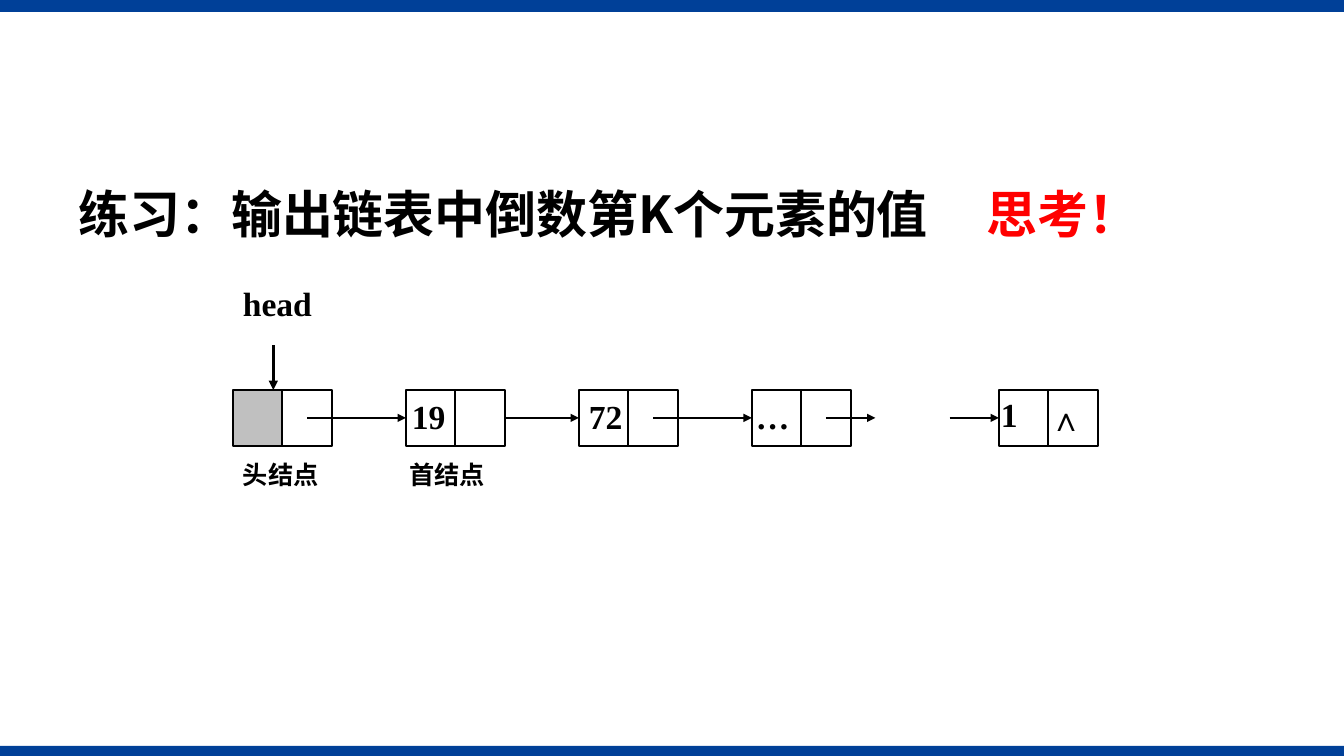
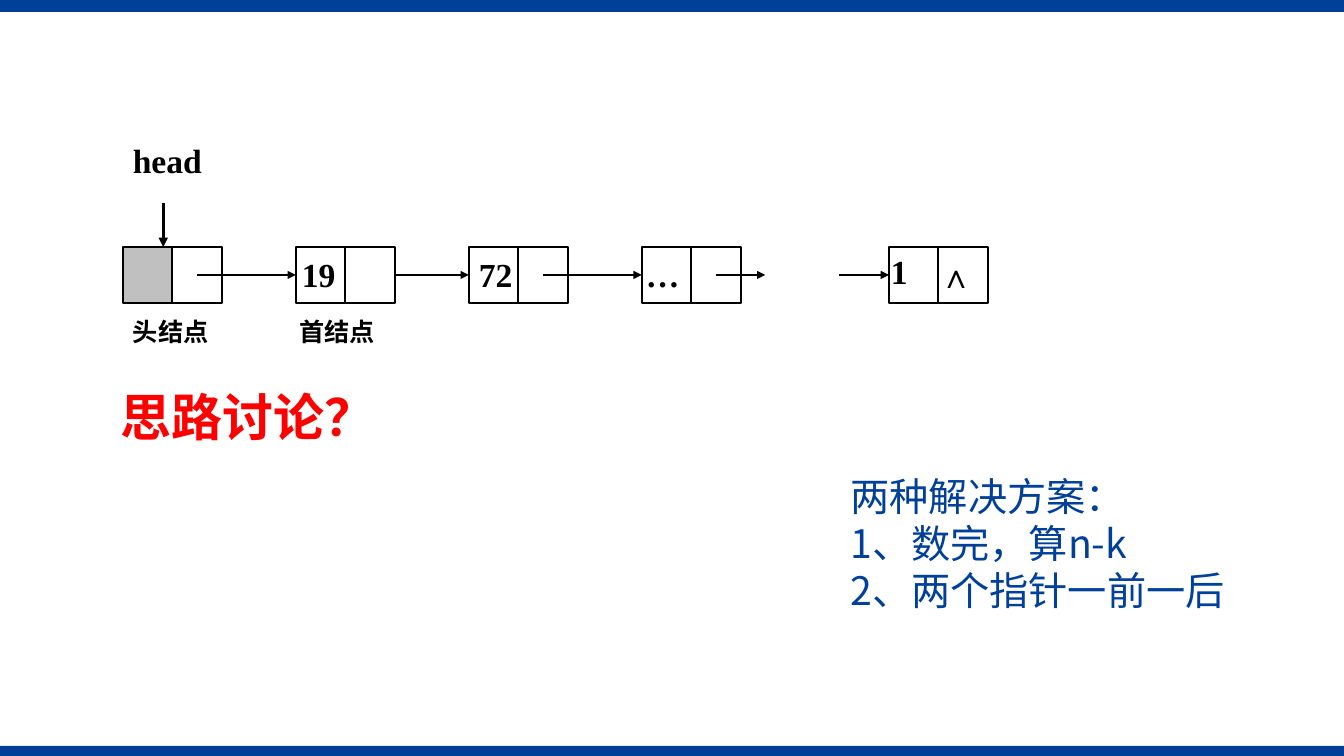
from lxml import etree
from pptx import Presentation
from pptx.dml.color import RGBColor
from pptx.enum import shapes, text
from pptx.oxml.ns import qn
from pptx.util import Pt

BLUE, RED, BLACK, GRAY = "004098", "FF0000", "000000", "C0C0C0"
SANS, SERIF = "Noto Sans CJK SC", "Times New Roman"
WIDTH, HEIGHT = 960, 540
CELL_W, CELL_H = 35.3, 39.8
VALUE_SIZE = 24


def add_text(slide, box, paragraphs, size, face=SERIF, bold=True,
             inset=(7.2, 3.6), spacing=None):
    """Add a text box; each paragraph is a list of (wording, colour) runs."""
    frame = slide.shapes.add_textbox(*map(Pt, box)).text_frame
    frame.word_wrap = True
    frame.vertical_anchor = text.MSO_ANCHOR.TOP
    frame.margin_left = frame.margin_right = Pt(inset[0])
    frame.margin_top = frame.margin_bottom = Pt(inset[1])
    for index, runs in enumerate(paragraphs):
        paragraph = frame.add_paragraph() if index else frame.paragraphs[0]
        if spacing:
            paragraph.line_spacing = spacing
        for wording, colour in runs:
            run = paragraph.add_run()
            run.text = wording
            run.font.size = Pt(size)
            run.font.bold = bold
            run.font.name = face
            run.font.color.rgb = RGBColor.from_string(colour)
            if face == SANS:
                etree.SubElement(run.font._element, qn("a:ea"), typeface=face)
    return frame


def add_arrow(slide, start, end, weight):
    arrow = slide.shapes.add_connector(
        shapes.MSO_CONNECTOR.STRAIGHT, *map(Pt, start + end))
    arrow.line.color.rgb = RGBColor.from_string(BLACK)
    arrow.line.width = Pt(weight)
    etree.SubElement(arrow.line._get_or_add_ln(), qn("a:tailEnd"), type="triangle")
    etree.SubElement(arrow._element.spPr, qn("a:effectLst"))
    return arrow


# Horizontal places in the list are counted in cell widths.
NODES = [0, 3.5, 7, 10.5, 15.5]
# start, end, index of the cell left, index of the cell reached
LINKS = [(1.5, 3.5, None, 2), (5.5, 7, 3, 4), (8.5, 10.5, None, 6),
         (12, 13, None, None), (14.5, 15.5, None, 8)]
# wording, cell place, shift right, shift down
VALUES = [("19", 3.5, 4.3, 4.5), ("72", 7, 7.2, 4.5), ("1", 15.5, 1.4, 3),
          ("…", 10.5, 2.9, 4.5), ("∧", 16.5, 0.7, 5.6)]
CAPTIONS = [("头结点", 0), ("首结点", 119)]

presentation = Presentation()
presentation.slide_width, presentation.slide_height = Pt(WIDTH), Pt(HEIGHT)

slides = []
for left, top in [(166.4, 278.6), (87.8, 176.5)]:
    slide = presentation.slides.add_slide(presentation.slide_layouts[6])
    slides.append(slide)

    for band_top, band_height in [(532.8, 7.2), (0, 8.6)]:
        band = slide.shapes.add_shape(shapes.MSO_SHAPE.RECTANGLE, 0, Pt(band_top),
                                      Pt(WIDTH), Pt(band_height))
        band.shadow.inherit = False
        band.fill.solid()
        band.fill.fore_color.rgb = RGBColor.from_string(BLUE)
        band.line.fill.background()

    cells = []
    for place in [node + part for node in NODES for part in (0, 1)]:
        cell = slide.shapes.add_shape(
            shapes.MSO_SHAPE.RECTANGLE, Pt(left + place * CELL_W), Pt(top),
            Pt(CELL_W), Pt(CELL_H))
        cell.shadow.inherit = False
        cell.line.color.rgb = RGBColor.from_string(BLACK)
        cell.line.width = Pt(1.5)
        if place == 0:
            cell.fill.solid()
            cell.fill.fore_color.rgb = RGBColor.from_string(GRAY)
        else:
            cell.fill.background()
        cells.append(cell)

    middle = top + CELL_H / 2
    for start, end, source, target in LINKS:
        link = add_arrow(slide, (left + start * CELL_W, middle),
                         (left + end * CELL_W, middle), 1.5)
        if source is not None:
            link.begin_connect(cells[source], 3)
        if target is not None:
            link.end_connect(cells[target], 1)

    for value, place, right, down in VALUES:
        add_text(slide, (left + place * CELL_W + right, top + down, 30, 34),
                 [[(value, BLACK)]], VALUE_SIZE, inset=(0, 0))

    add_text(slide, (left, top - 79.8, 70.6, 47.5), [[("head", BLACK)]], VALUE_SIZE)
    add_arrow(slide, (left + 28.8, top - 31.8), (left + 28.8, top), 2.25)

    for caption, right in CAPTIONS:
        add_text(slide, (left + right, top + 45.3, 73.5, 28.8),
                 [[(caption, BLACK)]], 18, SANS, spacing=Pt(22))

exercise, discussion = slides

question = add_text(
    exercise, (49, 131.8, 830, 59),
    [[("练习：输出链表中倒数第K个元素的值\t", BLACK), ("思考！", RED)]],
    36.4, SANS, spacing=0.9)
tabs = etree.SubElement(question.paragraphs[0]._p.get_or_add_pPr(), qn("a:tabLst"))
etree.SubElement(tabs, qn("a:tab"), pos=str(Pt(648.5)), algn="l")

add_text(discussion, (79.2, 276.5, 830, 54), [[("思路讨论？", RED)]],
         36.4, SANS, spacing=0.9)
solutions = ["两种解决方案：", "1、数完，算n-k", "2、两个指针一前一后"]
add_text(discussion, (600.5, 330.5, 309, 108.7),
         [[(line, BLUE)] for line in solutions],
         28, SANS, bold=False, inset=(7.2, 6.5), spacing=Pt(33.8))

presentation.save("out.pptx")
